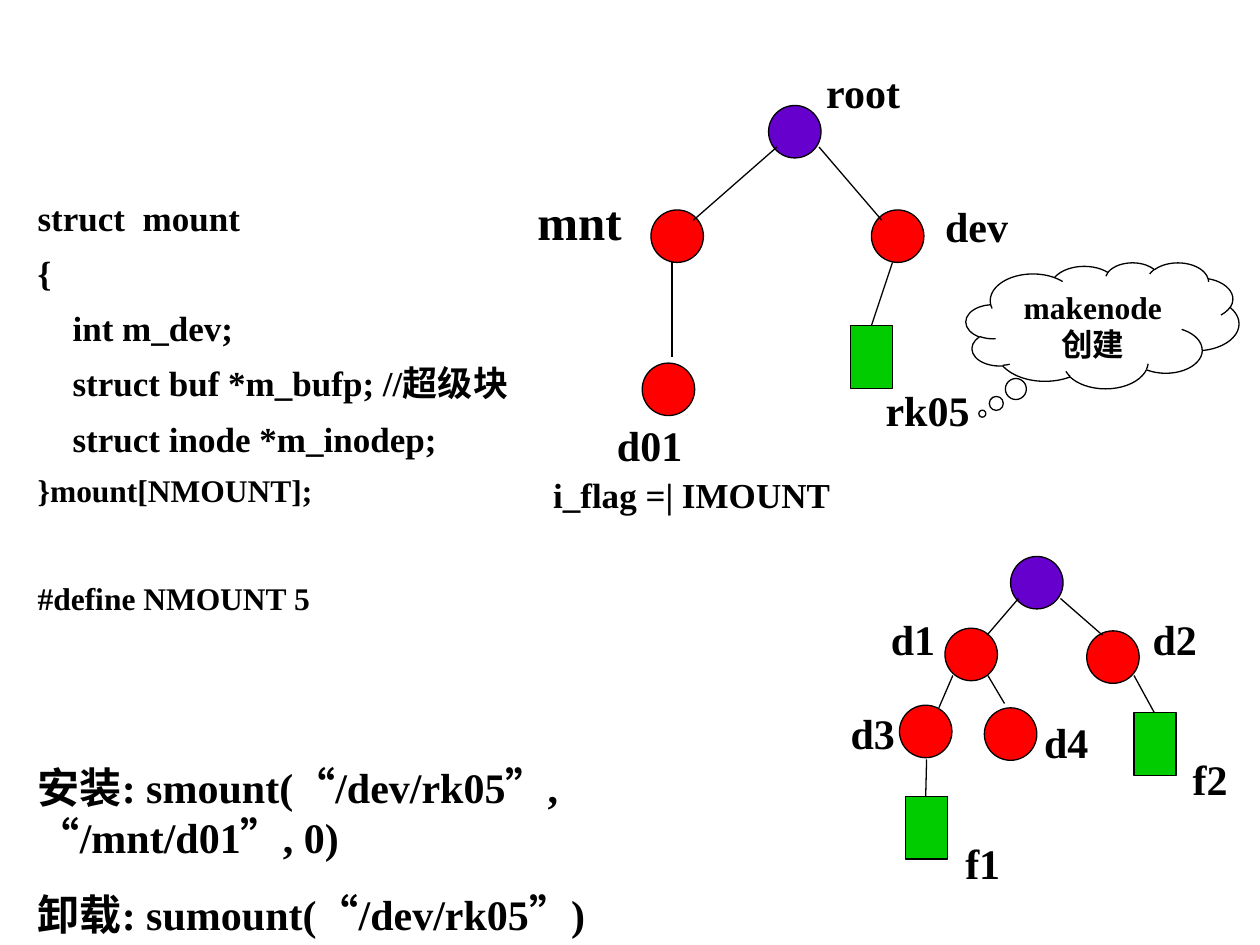
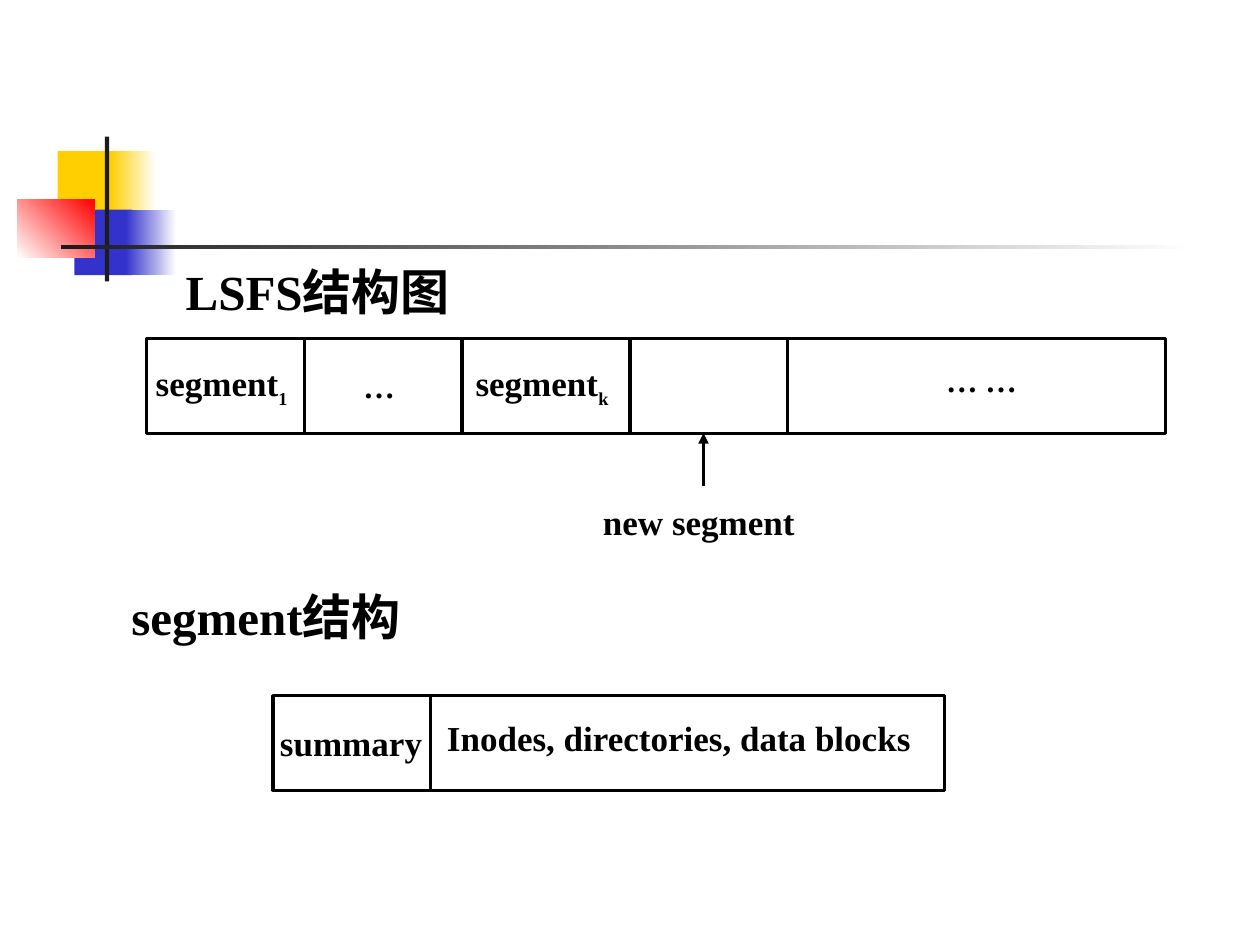
from dataclasses import dataclass

from lxml import etree
from pptx import Presentation
from pptx.dml.color import RGBColor
from pptx.enum.shapes import MSO_CONNECTOR, MSO_SHAPE
from pptx.enum.text import MSO_ANCHOR, MSO_AUTO_SIZE, PP_ALIGN
from pptx.oxml.ns import qn
from pptx.util import Pt

OVAL, RECT, CLOUD = MSO_SHAPE.OVAL, MSO_SHAPE.RECTANGLE, MSO_SHAPE.CLOUD_CALLOUT
STRAIGHT = MSO_CONNECTOR.STRAIGHT
LEFT, CENTER = PP_ALIGN.LEFT, PP_ALIGN.CENTER
TOP, MIDDLE = MSO_ANCHOR.TOP, MSO_ANCHOR.MIDDLE
NO_FIT = MSO_AUTO_SIZE.NONE

LATIN_FONT, CJK_FONT = "Times New Roman", "Noto Sans CJK SC"
BLACK, WHITE, INK = "000000", "FFFFFF", "1C1C1C"
PURPLE, RED, GREEN = "6600CC", "FF0000", "00CC00"
YELLOW, BLUE = "FFCF01", "3333CC"
THIN, THICK = 0.75, 1.75
DIRECTORY_SIZE, FILE_SIZE = (30, 30), (24, 36)
BAR_HEIGHT = 54


@dataclass
class Node:
    left: float
    top: float
    color: str = RED


@dataclass
class Edge:
    x1: float
    y1: float
    x2: float
    y2: float


@dataclass
class Label:
    text: str
    left: float
    top: float
    width: float = 48
    size: float = 24


@dataclass
class Caption:
    text: str
    center_x: float
    center_y: float
    size: float = 20
    subscript: str = ""


@dataclass
class Bar:
    left: float
    top: float
    width: float
    dividers: tuple


@dataclass
class Patch:
    left: float
    top: float
    width: float
    height: float
    start: str
    end: str = ""
    angle: float = 0


NODES = [
    Node(439.2, 60.3, PURPLE), Node(372, 120), Node(498, 120), Node(367, 207.5),
    Node(577.5, 318, PURPLE), Node(540, 359), Node(621, 360.5),
    Node(514, 403), Node(562.5, 404.5),
]
FILES = [Node(486, 186, GREEN), Node(517.5, 455, GREEN), Node(648, 407, GREEN)]
EDGES = [
    Edge(468, 84, 504, 126), Edge(444, 84, 396, 126),
    Edge(510, 150, 498, 186), Edge(384, 150, 384, 204),
    Edge(606, 342, 630, 363), Edge(582, 342, 564, 363),
    Edge(544.5, 386, 536.5, 404.5), Edge(564.5, 386, 574, 402),
    Edge(529.5, 434, 529, 455), Edge(648, 386, 659.5, 407),
]
LABELS = [
    Label("root", 465, 34.5, 60), Label("mnt", 300, 106, 68, 28),
    Label("dev", 533, 111, 54), Label("rk05", 499, 216, 66),
    Label("d01", 345.5, 236, 56), Label("i_flag =| IMOUNT", 309, 267, 204, 20),
    Label("d1", 502, 347), Label("d2", 651.5, 347), Label("d3", 479, 401),
    Label("d4", 589.5, 406), Label("f1", 544.5, 475), Label("f2", 674.5, 427, 45),
]
STRUCT_LINES = [
    "struct  mount", "{", "    int m_dev;", "    struct buf *m_bufp; //超级块",
    "    struct inode *m_inodep;",
]
DEFINE_LINES = ["}mount[NMOUNT];", "#define NMOUNT 5"]
COMMANDS = [
    "安装: smount(“/dev/rk05”, “/mnt/d01”, 0)",
    "卸载: sumount(“/dev/rk05”)",
]
PATCHES = [
    Patch(33, 86.4, 34.5, 37.5, YELLOW), Patch(63, 86.4, 26, 37.5, YELLOW, WHITE),
    Patch(42.5, 119.8, 33, 37.5, BLUE), Patch(72, 119.8, 28.8, 37.5, BLUE, WHITE),
    Patch(9.9, 113.8, 44.2, 33.5, WHITE, RED, 45),
    Patch(59.9, 78, 2.5, 82.8, INK), Patch(34.8, 140, 648, 2.5, INK, WHITE),
]
BARS = [
    Bar(84, 193.5, 582, (174, 264, 360, 450)),
    Bar(156, 397.5, 384, (246,)),
]
CAPTIONS = [
    Caption("segment", 126.6, 220.3, subscript="1"), Caption("…", 216.6, 220.3, 18),
    Caption("segment", 309.7, 220.3, subscript="k"), Caption("… …", 560.9, 217.4, 18),
    Caption("new segment", 399.4, 298), Caption("segment结构", 152, 352, 28),
    Caption("summary", 200.6, 424), Caption("Inodes, directories, data blocks", 388, 421.6),
]


def rgb(value: str) -> RGBColor:
    return RGBColor.from_string(value)


def box(left: float, top: float, width: float, height: float) -> list:
    return [Pt(length) for length in (left, top, width, height)]


def format_runs(paragraph, size: float) -> None:
    for run in paragraph.runs:
        font = run.font
        font.size, font.bold, font.name = Pt(size), True, LATIN_FONT
        font.color.rgb = rgb(BLACK)
        east_asian = etree.SubElement(run._r.get_or_add_rPr(), qn("a:ea"))
        east_asian.set("typeface", CJK_FONT)


def write_lines(frame, lines: list, sizes: list, gaps: list, align=LEFT) -> None:
    for index, (line, size, gap) in enumerate(zip(lines, sizes, gaps)):
        paragraph = frame.add_paragraph() if index else frame.paragraphs[0]
        paragraph.text = line
        paragraph.alignment = align
        paragraph.space_before = Pt(gap)
        format_runs(paragraph, size)


def set_frame(frame, wrap: bool, anchor) -> None:
    frame.auto_size = NO_FIT
    frame.word_wrap = wrap
    frame.vertical_anchor = anchor


def add_figure(slide, kind, area: list, fill: str = "", width: float = 0):
    figure = slide.shapes.add_shape(kind, *area)
    figure.shadow.inherit = False
    if fill:
        figure.fill.solid()
        figure.fill.fore_color.rgb = rgb(fill)
    else:
        figure.fill.background()
    if width:
        figure.line.color.rgb = rgb(BLACK)
        figure.line.width = Pt(width)
    else:
        figure.line.fill.background()
    return figure


def add_edge(slide, edge: Edge, width: float = THIN, arrow: bool = False) -> None:
    ends = [Pt(length) for length in (edge.x1, edge.y1, edge.x2, edge.y2)]
    connector = slide.shapes.add_connector(STRAIGHT, *ends)
    connector.line.color.rgb = rgb(BLACK)
    connector.line.width = Pt(width)
    if arrow:
        tail = etree.SubElement(connector.line._get_or_add_ln(), qn("a:tailEnd"))
        tail.set("type", "triangle")
    etree.SubElement(connector._element.spPr, qn("a:effectLst"))


def add_lines(slide, area: list, lines: list, sizes: list, gaps: list) -> None:
    frame = slide.shapes.add_textbox(*area).text_frame
    set_frame(frame, True, TOP)
    write_lines(frame, lines, sizes, gaps)


def add_caption(slide, caption: Caption) -> None:
    area = box(caption.center_x - 45, caption.center_y - 15, 90, 30)
    frame = slide.shapes.add_textbox(*area).text_frame
    set_frame(frame, False, MIDDLE)
    write_lines(frame, [caption.text], [caption.size], [0], CENTER)
    if caption.subscript:
        paragraph = frame.paragraphs[0]
        subscript = paragraph.add_run()
        subscript.text = caption.subscript
        format_runs_from = type(paragraph)(paragraph._p, frame)
        style_subscript(subscript, format_runs_from)


def style_subscript(subscript, paragraph) -> None:
    font = subscript.font
    font.size, font.bold, font.name = Pt(18), True, LATIN_FONT
    font.color.rgb = rgb(BLACK)
    subscript._r.get_or_add_rPr().set("baseline", "-30000")


def add_patch(slide, patch: Patch) -> None:
    area = box(patch.left, patch.top, patch.width, patch.height)
    figure = add_figure(slide, RECT, area, patch.start)
    if patch.end:
        figure.fill.gradient()
        figure.fill.gradient_angle = patch.angle
        for stop, color in zip(figure.fill.gradient_stops, (patch.start, patch.end)):
            stop.color.rgb = rgb(color)


def add_bar(slide, bar: Bar) -> None:
    add_figure(slide, RECT, box(bar.left, bar.top, bar.width, BAR_HEIGHT), width=THICK)
    for x in bar.dividers:
        add_edge(slide, Edge(x, bar.top, x, bar.top + BAR_HEIGHT), THICK)


def place(placeholder, area: list) -> None:
    placeholder.left, placeholder.top, placeholder.width, placeholder.height = area


def build_mount_slide(deck) -> None:
    slide = deck.slides.add_slide(deck.slide_layouts[1])
    title = slide.shapes.title._element
    title.getparent().remove(title)

    commands = slide.placeholders[1]
    place(commands, box(14.4, 431.3, 443.5, 108.7))
    set_frame(commands.text_frame, True, TOP)
    write_lines(commands.text_frame, COMMANDS, [24, 24], [0, 15])
    for paragraph in commands.text_frame.paragraphs:
        properties = paragraph._p.get_or_add_pPr()
        properties.set("marL", "0")
        properties.set("indent", "0")
        etree.SubElement(properties, qn("a:buNone"))

    add_lines(slide, box(14.4, 108.7, 300, 247), STRUCT_LINES + DEFINE_LINES,
              [20] * 5 + [18] * 2, [0] + [7.5] * 4 + [6.8, 40])
    for nodes, kind, size in ((NODES, OVAL, DIRECTORY_SIZE), (FILES, RECT, FILE_SIZE)):
        for node in nodes:
            add_figure(slide, kind, box(node.left, node.top, *size), node.color, THIN)
    for edge in EDGES:
        add_edge(slide, edge)
    for label in LABELS:
        add_lines(slide, box(label.left, label.top, label.width, 36),
                  [label.text], [label.size], [0])

    cloud = add_figure(slide, CLOUD, box(552, 150, 156, 72), WHITE, THIN)
    cloud.adjustments[0], cloud.adjustments[1] = -0.44, 0.7
    set_frame(cloud.text_frame, True, TOP)
    write_lines(cloud.text_frame, ["makenode创建"], [18], [0], CENTER)


def build_segment_slide(deck) -> None:
    slide = deck.slides.add_slide(deck.slide_layouts[5])
    for patch in PATCHES:
        add_patch(slide, patch)
    title = slide.shapes.title
    place(title, box(88, 145.4, 187, 42))
    set_frame(title.text_frame, False, MIDDLE)
    write_lines(title.text_frame, ["LSFS结构图"], [28], [0], CENTER)
    for bar in BARS:
        add_bar(slide, bar)
    for caption in CAPTIONS:
        add_caption(slide, caption)
    add_edge(slide, Edge(402, 277.5, 402, 247.5), 2, arrow=True)


def main() -> None:
    deck = Presentation()
    deck.slide_width, deck.slide_height = Pt(720), Pt(540)
    build_mount_slide(deck)
    build_segment_slide(deck)
    deck.save("out.pptx")


if __name__ == "__main__":
    main()
